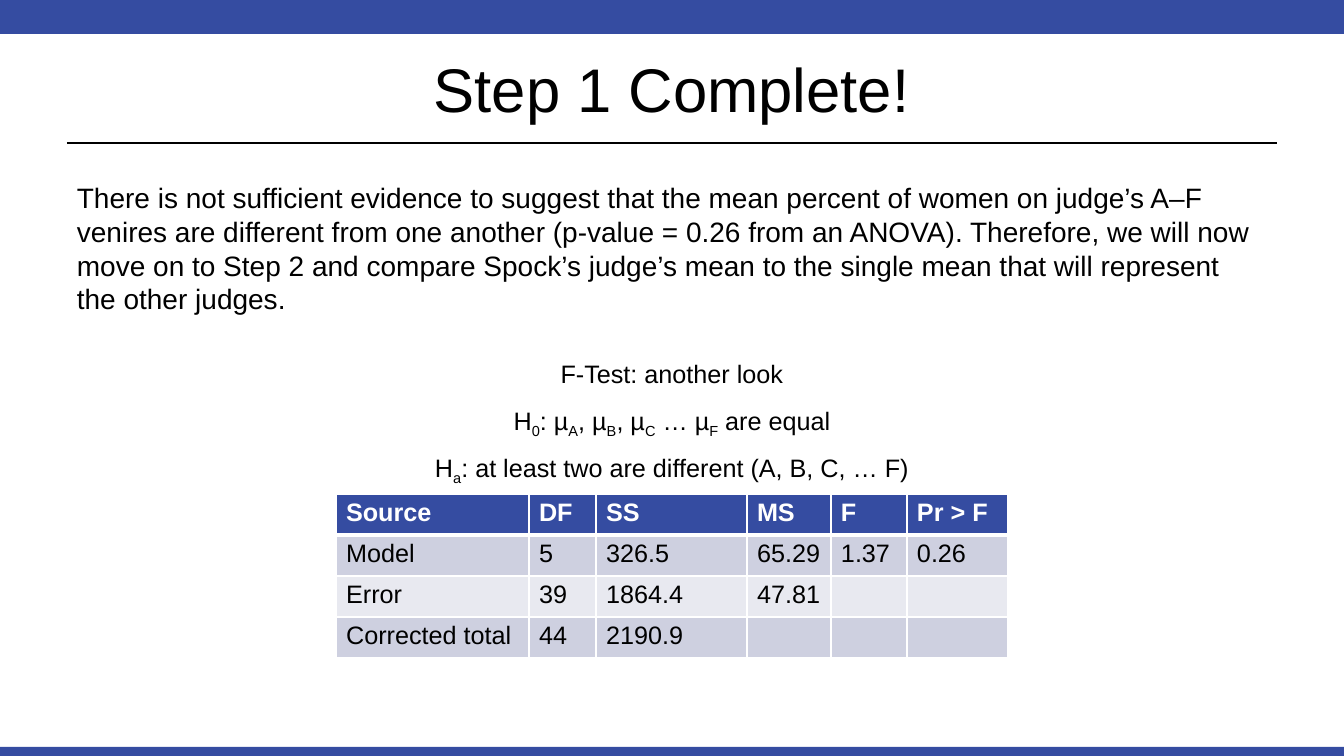
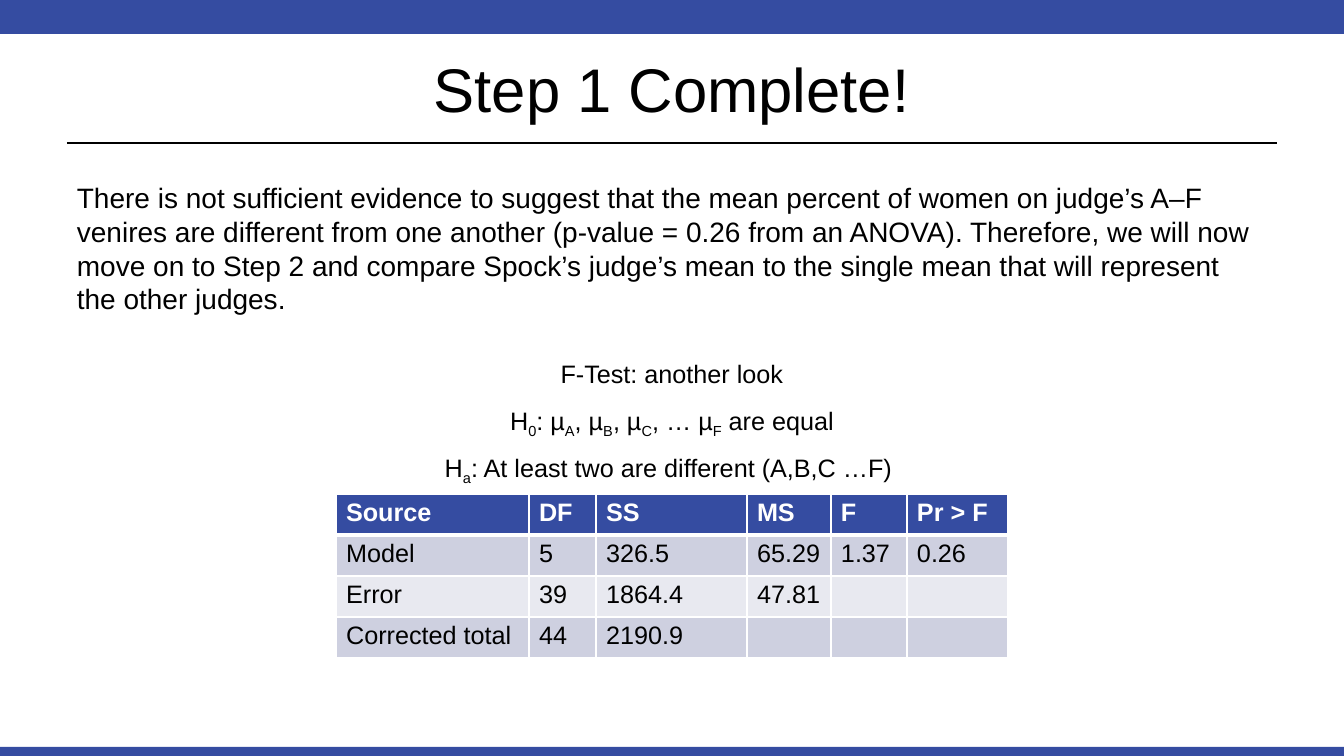
from lxml import etree
from pptx import Presentation
from pptx import util as u
from pptx.dml.color import RGBColor
from pptx.enum import shapes, text
from pptx.oxml import ns

BLUE = RGBColor(0x35, 0x4C, 0xA1)
BLACK = RGBColor(0, 0, 0)
WHITE = RGBColor(255, 255, 255)
STRIPES = RGBColor(0xCE, 0xD0, 0xE0), RGBColor(0xE8, 0xE9, 0xF0)
FONT = "Arial"

WIDTH, HEIGHT = 1344, 756
SCALE = u.Inches(1) / 100.8
BANDS = [(0, 0, WIDTH, 34), (0, 747, WIDTH, 10)]
RULE = (67, 143, 1277, 143)
TITLE_BOX = (67, 25, 1210, 126)
BODY_BOX = (67, 176, 1210, 151)
TEST_BOX = (410, 353, 524, 40)
TEST_STEP = 47
TABLE_LEFT, TABLE_TOP, ROW_HEIGHT = 336, 494, 41
COLUMNS = [193, 67, 151, 84, 76, 101]

TITLE = "Step 1 Complete!"
BODY = (
    "There is not sufficient evidence to suggest that the mean percent of women "
    "on judge’s A–F venires are different from one another (p-value = 0.26 from "
    "an ANOVA). Therefore, we will now move on to Step 2 and compare Spock’s "
    "judge’s mean to the single mean that will represent the other judges."
)
TEST_NAME = "F-Test: another look"
HYPOTHESES = [
    ("H_0: µ_A, µ_B, µ_C … µ_F are equal",
     "H_a: at least two are different (A, B, C, … F)"),
    ("H_0: µ_A, µ_B, µ_C, … µ_F are equal",
     "H_a: At least two are different (A,B,C …F) "),
]
ANOVA = [
    ("Source", "DF", "SS", "MS", "F", "Pr > F"),
    ("Model", "5", "326.5", "65.29", "1.37", "0.26"),
    ("Error", "39", "1864.4", "47.81", "", ""),
    ("Corrected total", "44", "2190.9", "", "", ""),
]

TITLE_FORMAT = dict(alignment=text.PP_ALIGN.CENTER)
BODY_FORMAT = dict(line_spacing=u.Pt(24))
TEST_FORMAT = dict(alignment=text.PP_ALIGN.CENTER)


def px(*lengths):
    return [u.Emu(round(length * SCALE)) for length in lengths]


def apply(target, values):
    for name, value in values.items():
        setattr(target, name, value)


def write(para, wording, size, color=BLACK, bold=False):
    first, *rest = wording.split("_")
    pieces = [(first, False)]
    for part in rest:
        pieces += [(part[0], True), (part[1:], False)]
    for piece, lowered in pieces:
        span = para.add_run()
        span.text = piece
        apply(span.font, dict(name=FONT, size=u.Pt(size), bold=bold))
        span.font.color.rgb = color
        if lowered:
            span._r.get_or_add_rPr().set("baseline", "-25000")


def add_text(page, place, wording, size, para_format, **frame_format):
    frame = page.shapes.add_textbox(*px(*place)).text_frame
    apply(frame, {"word_wrap": True, **frame_format})
    apply(frame.paragraphs[0], para_format)
    write(frame.paragraphs[0], wording, size)


def add_frame(page):
    for place in BANDS:
        band = page.shapes.add_shape(shapes.MSO_SHAPE.RECTANGLE, *px(*place))
        band.shadow.inherit = False
        band.fill.solid()
        band.fill.fore_color.rgb = BLUE
        band.line.fill.background()
    rule = page.shapes.add_connector(shapes.MSO_CONNECTOR.STRAIGHT, *px(*RULE))
    rule.line.color.rgb = BLACK
    rule.line.width = u.Pt(1.25)
    etree.SubElement(rule._element.spPr, ns.qn("a:effectLst"))
    add_text(page, TITLE_BOX, TITLE, 44, TITLE_FORMAT,
             vertical_anchor=text.MSO_ANCHOR.MIDDLE)


def add_borders(cell, widths):
    properties = cell._tc.get_or_add_tcPr()
    for side, points in widths.items():
        line = etree.SubElement(properties, ns.qn(f"a:ln{side}"), w=str(u.Pt(points)))
        fill = etree.SubElement(line, ns.qn("a:solidFill"))
        etree.SubElement(fill, ns.qn("a:srgbClr"), val=str(WHITE))


def add_anova(page):
    place = px(TABLE_LEFT, TABLE_TOP, sum(COLUMNS), ROW_HEIGHT * len(ANOVA))
    table = page.shapes.add_table(len(ANOVA), len(COLUMNS), *place).table
    for column, width in zip(table.columns, px(*COLUMNS)):
        column.width = width
    for index, values in enumerate(ANOVA):
        header = index == 0
        borders = dict(L=1, R=1, T=1, B=3) if header else dict(L=1, R=1, B=1)
        for cell, value in zip(table.rows[index].cells, values):
            add_borders(cell, borders)
            cell.fill.solid()
            cell.fill.fore_color.rgb = BLUE if header else STRIPES[(index - 1) % 2]
            para = cell.text_frame.paragraphs[0]
            para.font.size = u.Pt(18)
            if value:
                write(para, value, 18, WHITE if header else BLACK, header)


def main():
    deck = Presentation()
    deck.slide_width, deck.slide_height = px(WIDTH, HEIGHT)
    left, top, width, height = TEST_BOX
    for hypotheses in HYPOTHESES:
        page = deck.slides.add_slide(deck.slide_layouts[6])
        add_frame(page)
        add_text(page, BODY_BOX, BODY, 20, BODY_FORMAT)
        for index, line in enumerate((TEST_NAME, *hypotheses)):
            place = (left, top + index * TEST_STEP, width, height)
            add_text(page, place, line, 18, TEST_FORMAT, word_wrap=False)
        add_anova(page)
    deck.save("out.pptx")


if __name__ == "__main__":
    main()
